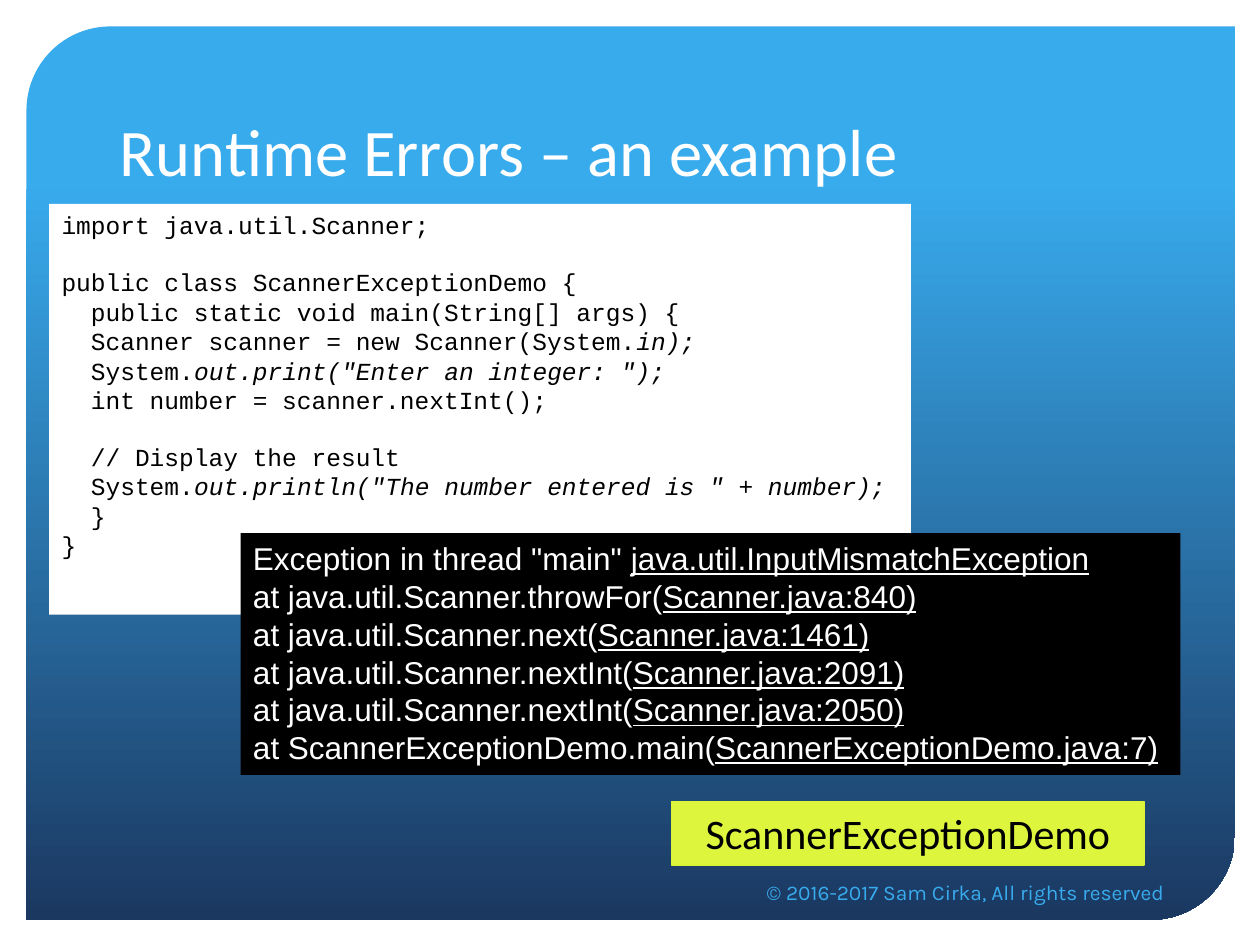
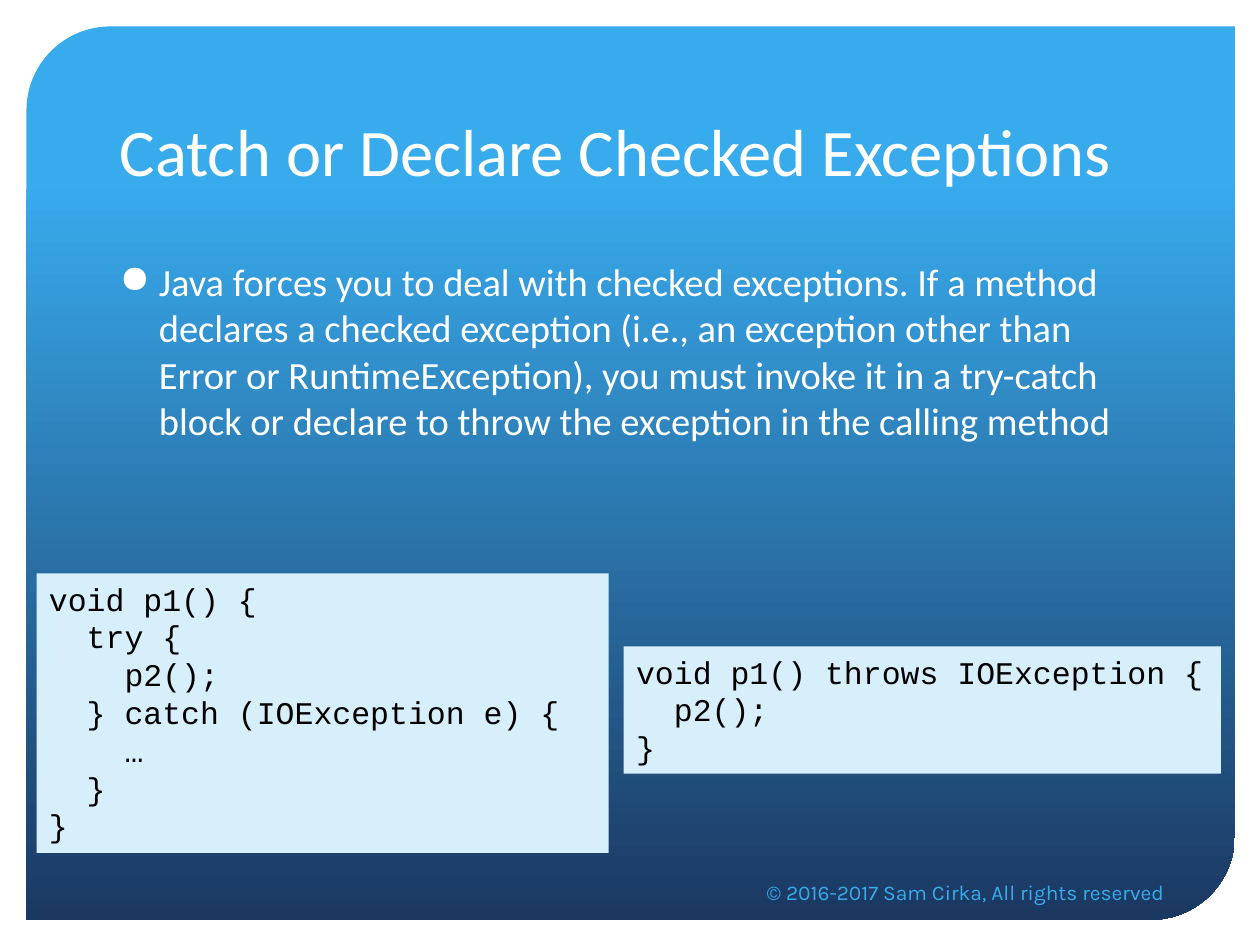
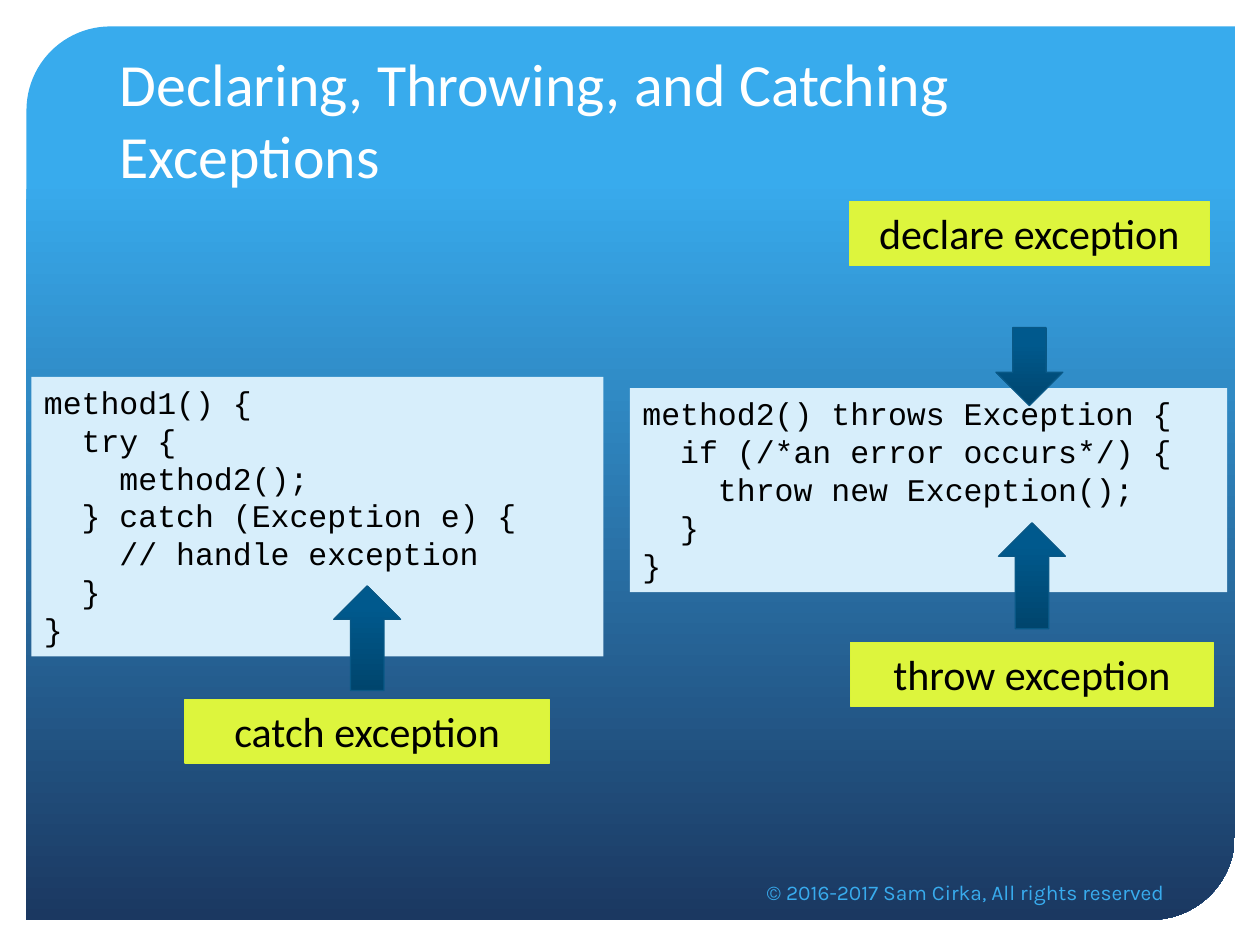
from pptx import Presentation
from pptx.dml.color import RGBColor
from pptx.enum.shapes import MSO_SHAPE
from pptx.enum.text import MSO_ANCHOR, MSO_AUTO_SIZE, PP_ALIGN
from pptx.oxml.ns import qn
from pptx.util import Pt
from lxml import etree

RECT = MSO_SHAPE.RECTANGLE
PANEL = MSO_SHAPE.ROUND_2_DIAG_RECTANGLE
UP, DOWN = MSO_SHAPE.UP_ARROW, MSO_SHAPE.DOWN_ARROW
LEFT, CENTER, RIGHT = PP_ALIGN.LEFT, PP_ALIGN.CENTER, PP_ALIGN.RIGHT
TOP, MIDDLE, BOTTOM = MSO_ANCHOR.TOP, MSO_ANCHOR.MIDDLE, MSO_ANCHOR.BOTTOM
NO_FIT = MSO_AUTO_SIZE.NONE

WHITE = RGBColor(0xFF, 0xFF, 0xFF)
BLACK = RGBColor(0x00, 0x00, 0x00)
SKY = RGBColor(0x38, 0xAB, 0xED)
NAVY = RGBColor(0x1B, 0x38, 0x61)
PALE = RGBColor(0xD7, 0xEE, 0xFB)
LIME = RGBColor(0xDD, 0xF5, 0x3D)
LIME_LINE = RGBColor(0xDB, 0xF4, 0x37)
ARROW_DARK = RGBColor(0x00, 0x45, 0x6D)
ARROW_LIGHT = RGBColor(0x00, 0x59, 0x8D)
ARROW_LINE = RGBColor(0x09, 0x58, 0x86)

BODY_FONT, CODE_FONT, OUTPUT_FONT, FOOTER_FONT = "Calibri", "Courier New", "Arial", "Karla"
CHAR_WIDTH, LINE_HEIGHT = 0.6, 1.13
PANEL_BOX = (15.1, 15.1, 690.5, 510.5)
TITLE_BOX = (61.2, 30.2, 596.9, 82.1)
FOOTER_BOX = (259.9, 495.4, 412.6, 28.8)
LABEL_HEIGHT, ARROW_WIDTH = 36.4, 38.2
FOOTER = "© 2016-2017 Sam Cirka, All rights reserved"

DEMO_CODE = """import java.util.Scanner;

public class ScannerExceptionDemo {
  public static void main(String[] args) {
  Scanner scanner = new Scanner(System.|in);
  System.|out.print("Enter an integer: ");
  int number = scanner.nextInt();

  // Display the result
  System.|out.println("The number entered is " + number);
  }
}"""
STACK_TRACE = """Exception in thread "main" |java.util.InputMismatchException
at java.util.Scanner.throwFor(|Scanner.java:840)
at java.util.Scanner.next(|Scanner.java:1461)
at java.util.Scanner.nextInt(|Scanner.java:2091)
at java.util.Scanner.nextInt(|Scanner.java:2050)
at ScannerExceptionDemo.main(|ScannerExceptionDemo.java:7)"""
CATCH_CODE = """void p1() {
  try {
    p2();
  } catch (IOException e) {
    …
  }
}"""
DECLARE_CODE = """void p1() throws IOException {
  p2();
}"""
METHOD1_CODE = """method1() {
  try {
    method2();
  } catch (Exception e) {
    // handle exception
  }
}"""
METHOD2_CODE = """method2() throws Exception {
  if (/*an error occurs*/) {
    throw new Exception();
  }
}"""
RULE = (
    "Java forces you to deal with checked exceptions. If a method declares a checked "
    "exception (i.e., an exception other than Error or RuntimeException), you must invoke "
    "it in a try-catch block or declare to throw the exception in the calling method"
)


def pts(box):
    """Convert a box of numbers to lengths in points."""
    return [Pt(v) for v in box]


def add_text(p, text, size=18, font=BODY_FONT, color=BLACK, align=LEFT, italic=None, underline=None):
    """Append a formatted run to a paragraph."""
    p.alignment = align
    r = p.add_run()
    r.text = text
    r.font.size, r.font.name = Pt(size), font
    r.font.color.rgb = color
    r.font.italic, r.font.underline = italic, underline


def set_indent(p, left, first=0):
    """Set the left margin and first-line indent of a paragraph."""
    pPr = p._p.get_or_add_pPr()
    pPr.set("marL", str(Pt(left)))
    pPr.set("indent", str(Pt(first)))
    return pPr


def prepare_frame(shape, anchor=TOP):
    """Make the text of a shape wrap at a fixed size."""
    tf = shape.text_frame
    tf.word_wrap, tf.auto_size, tf.vertical_anchor = True, NO_FIT, anchor
    return tf


def add_box(s, kind, box, fill=None, gradient=None, angle=0, line=None):
    """Add a flat shape with a solid or gradient fill."""
    sp = s.shapes.add_shape(kind, *pts(box))
    sp.shadow.inherit = False
    if gradient:
        sp.fill.gradient()
        sp.fill.gradient_angle = angle
        for stop, (position, color) in zip(sp.fill.gradient_stops, gradient):
            stop.position = position
            stop.color.rgb = color
    else:
        sp.fill.solid()
        sp.fill.fore_color.rgb = fill
    if line:
        sp.line.color.rgb = line
        sp.line.width = Pt(0.75)
    else:
        sp.line.fill.background()
    return sp


def add_master_panel(prs, s):
    """Build the gradient panel and place it on the slide master."""
    sp = add_box(s, PANEL, PANEL_BOX, gradient=[(0.17, SKY), (1, NAVY)], angle=270)
    sp.adjustments[0], sp.adjustments[1] = 0.094, 0
    sp.element.nvSpPr.cNvPr.set("id", "100")
    prs.slide_master.shapes.element.insert(2, sp.element)


def add_slide(prs, title, size=38):
    """Add a slide with its title and footer."""
    s = prs.slides.add_slide(prs.slide_layouts[5])
    sp = s.shapes.title
    sp.left, sp.top, sp.width, sp.height = pts(TITLE_BOX)
    add_text(prepare_frame(sp, BOTTOM).paragraphs[0], title, size=size, color=WHITE)
    tf = prepare_frame(s.shapes.add_textbox(*pts(FOOTER_BOX)), MIDDLE)
    add_text(tf.paragraphs[0], FOOTER, size=12, font=FOOTER_FONT, color=SKY, align=RIGHT)
    return s


def add_listing(s, box, text, fill=PALE, size=18, font=CODE_FONT, color=BLACK, **accent):
    """Add a listing whose text after a bar on each line takes the accent format."""
    tf = prepare_frame(add_box(s, RECT, box, fill=fill))
    p, gap = tf.paragraphs[0], 0
    for i, line in enumerate(text.split("\n")):
        if not line:
            gap = size * LINE_HEIGHT
            continue
        if i:
            p = tf.add_paragraph()
        code = line.lstrip()
        set_indent(p, (len(line) - len(code)) * size * CHAR_WIDTH)
        p.space_before, gap = Pt(gap), 0
        plain, _, marked = code.partition("|")
        add_text(p, plain, size=size, font=font, color=color)
        if marked:
            add_text(p, marked, size=size, font=font, color=color, **accent)


def add_label(s, left, top, width, text):
    """Add a lime label with centred text."""
    sp = add_box(s, RECT, (left, top, width, LABEL_HEIGHT), fill=LIME, line=LIME_LINE)
    add_text(prepare_frame(sp).paragraphs[0], text, size=24, align=CENTER)


def add_callout(s, left, top, width, text, kind, height, gap):
    """Add a label with an arrow centred above or below it."""
    add_label(s, left, top, width, text)
    y = top - gap - height if kind == UP else top + LABEL_HEIGHT + gap
    box = (left + (width - ARROW_WIDTH) / 2, y, ARROW_WIDTH, height)
    stops = [(0, ARROW_DARK), (0.8, ARROW_LIGHT)]
    add_box(s, kind, box, gradient=stops, angle=90, line=ARROW_LINE)


def add_bullet(s, box, text):
    """Add a bulleted paragraph."""
    p = prepare_frame(s.shapes.add_textbox(*pts(box))).paragraphs[0]
    p.space_before = Pt(20)
    add_text(p, text, size=22, color=WHITE)
    etree.SubElement(set_indent(p, 22.5, -22.5), qn("a:buChar")).set("char", "●")


def runtime_slide(prs):
    """Build the slide with a program and its stack trace."""
    s = add_slide(prs, "Runtime Errors – an example")
    add_master_panel(prs, s)
    add_label(s, 383.8, 457.9, 270, "ScannerExceptionDemo")
    add_listing(s, (28.1, 116.6, 492.5, 234.7), DEMO_CODE, fill=WHITE, size=14, italic=True)
    add_listing(s, (137.5, 304.6, 537.1, 138.2), STACK_TRACE, fill=BLACK,
                font=OUTPUT_FONT, color=WHITE, underline=True)


def checked_slide(prs):
    """Build the slide on catching or declaring."""
    s = add_slide(prs, "Catch or Declare Checked Exceptions")
    add_bullet(s, (61.2, 144, 596.9, 151.9), RULE)
    add_listing(s, (20.9, 327.6, 326.9, 159.8), CATCH_CODE)
    add_listing(s, (356.4, 369.4, 341.3, 72.7), DECLARE_CODE)


def handling_slide(prs):
    """Build the slide with two methods and their callouts."""
    s = add_slide(prs, "Declaring, Throwing, and Catching Exceptions", size=34.2)
    add_listing(s, (18, 215.3, 326.9, 159.8), METHOD1_CODE)
    add_listing(s, (360, 221.8, 341.3, 116.6), METHOD2_CODE)
    add_callout(s, 105.8, 399.6, 208.1, "catch exception", UP, 59.8, 5)
    add_callout(s, 486, 367.2, 207.4, "throw exception", UP, 60.5, 7.9)
    add_callout(s, 485.3, 115.2, 205.9, "declare exception", DOWN, 44.6, 35.6)


def main():
    """Build and save the deck."""
    prs = Presentation()
    prs.slide_width, prs.slide_height = Pt(720), Pt(540)
    runtime_slide(prs)
    checked_slide(prs)
    handling_slide(prs)
    prs.save("out.pptx")


if __name__ == "__main__":
    main()
